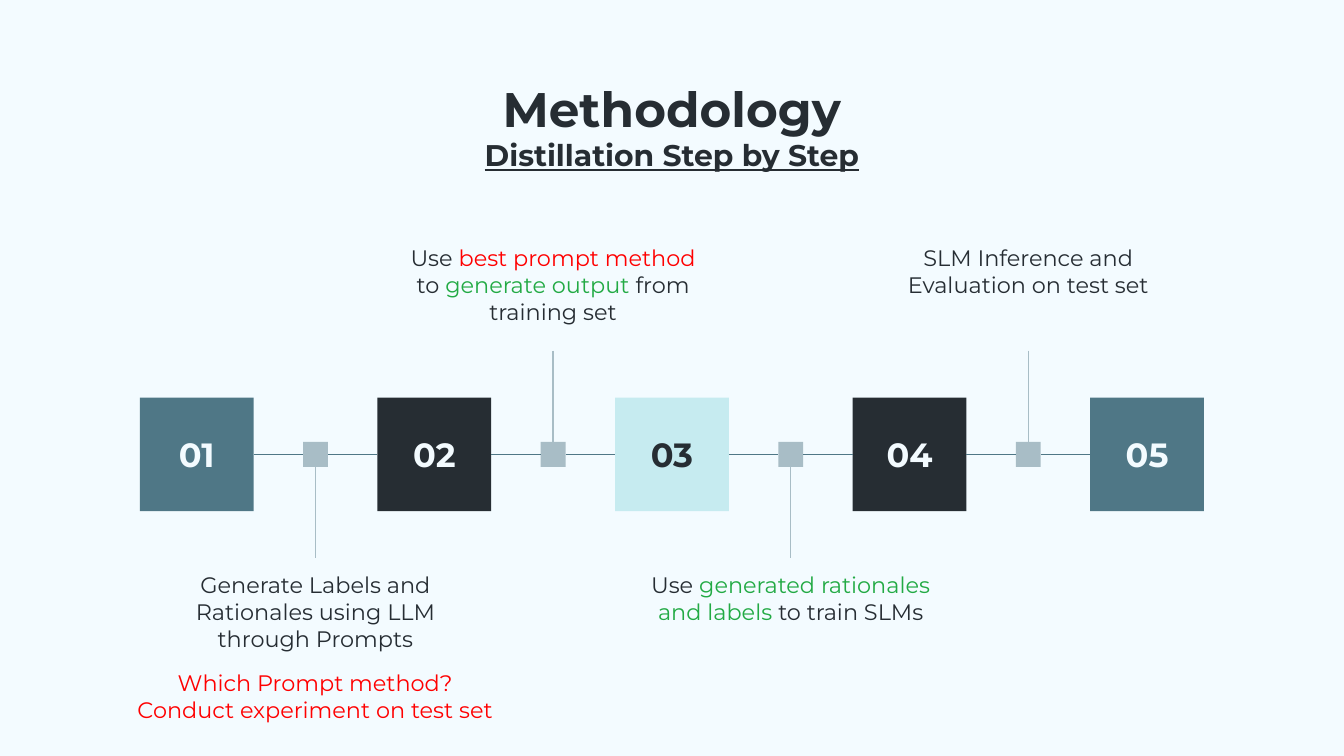
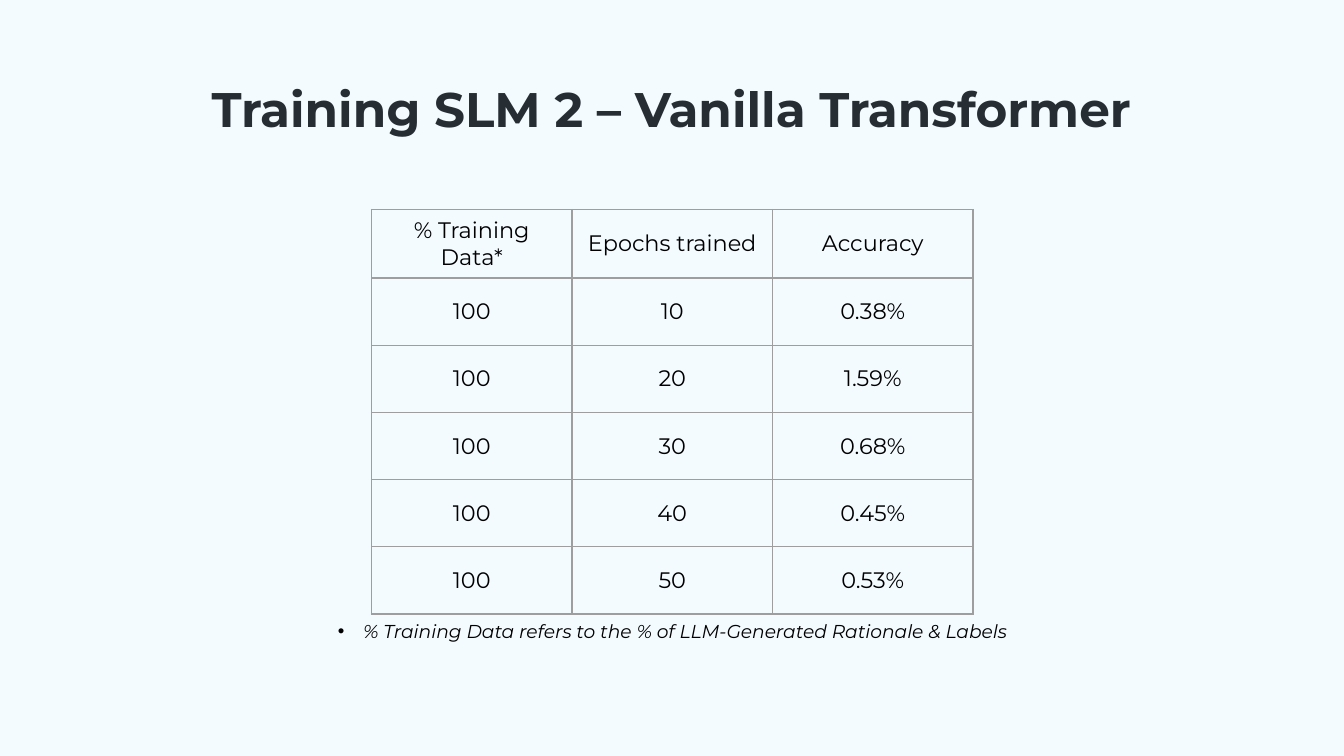
from lxml import etree
from pptx import Presentation
from pptx import util as u
from pptx.dml.color import RGBColor
from pptx.enum import shapes, text
from pptx.oxml.ns import qn

FONT = "Montserrat"
COLORS = {
    "bg": "F3FBFF", "dark": "262D33", "teal": "4F7786", "light": "C6EBF0",
    "grey": "A8BDC6", "red": "FF0000", "green": "22AA44", "black": "000000",
    "border": "9E9E9E",
}


def rgb(name):
    return RGBColor.from_string(COLORS[name])


def write(tf, *paragraphs, size=12, color="dark", bold=False, italic=False,
          anchor=text.MSO_ANCHOR.TOP, inset=0.25):
    """Fill a text frame; a paragraph is a string or a list of (text, colour) runs."""
    tf.word_wrap = True
    tf.auto_size = text.MSO_AUTO_SIZE.NONE
    tf.vertical_anchor = anchor
    tf.margin_left = tf.margin_right = u.Cm(0.25)
    tf.margin_top = tf.margin_bottom = u.Cm(inset)
    for i, runs in enumerate(paragraphs):
        p = tf.add_paragraph() if i else tf.paragraphs[0]
        p.alignment = text.PP_ALIGN.CENTER
        for words, c in [(runs, color)] if isinstance(runs, str) else runs:
            r = p.add_run()
            r.text = words
            f = r.font
            f.name, f.size, f.bold, f.italic = FONT, u.Pt(size), bold, italic
            f.color.rgb = rgb(c)


prs = Presentation()
prs.slide_width, prs.slide_height = u.Cm(25.4), u.Cm(14.29)
fill = prs.slide_master.background.fill
fill.solid()
fill.fore_color.rgb = rgb("bg")

slides = []
for title in ("Methodology", "Training SLM 2 – Vanilla Transformer"):
    s = prs.slides.add_slide(prs.slide_layouts[5])
    sp = s.shapes.title
    sp.left, sp.top, sp.width, sp.height = u.Cm(2), u.Cm(1.24), u.Cm(21.4), u.Cm(2.5)
    write(sp.text_frame, title, size=26, bold=True)
    slides.append(s)

# Slide 1: timeline of numbered steps with a note at each joint
s = slides[0]
p = s.shapes.title.text_frame.paragraphs[0]
p.add_line_break()
r = p.add_run()
r.text = "Distillation Step by Step"
r.font.name, r.font.size, r.font.bold, r.font.underline = FONT, u.Pt(16), True, True
r.font.color.rgb = rgb("dark")

CENTER, AXIS, PITCH = 12.7, 8.59, 4.49
BOX, JOINT = 2.15, 0.47
NOTE_W, NOTE_H, NOTE_ABOVE, NOTE_BELOW = 6, 2.26, 4.37, 10.55
steps = [("teal", "bg"), ("dark", "bg"), ("light", "dark"), ("dark", "bg"), ("teal", "bg")]
notes = [
    "Generate Labels and Rationales using LLM through Prompts",
    [("Use ", "dark"), ("best prompt method ", "red"), ("to ", "dark"),
     ("generate output ", "green"), ("from training set", "dark")],
    [("Use ", "dark"), ("generated rationales and labels", "green"),
     (" to train SLMs", "dark")],
    "SLM Inference and Evaluation on test set",
]

# Boxes and joints alternate along the axis, half a pitch apart
chain = []
for i in range(2 * len(steps) - 1):
    is_box = i % 2 == 0
    side = BOX if is_box else JOINT
    x = CENTER + (i - len(steps) + 1) * PITCH / 2
    sp = s.shapes.add_shape(shapes.MSO_SHAPE.RECTANGLE, u.Cm(x - side / 2),
                            u.Cm(AXIS - side / 2), u.Cm(side), u.Cm(side))
    sp.shadow.inherit = False
    sp.line.fill.background()
    sp.fill.solid()
    sp.fill.fore_color.rgb = rgb(steps[i // 2][0] if is_box else "grey")
    if is_box:
        write(sp.text_frame, f"{i // 2 + 1:02}", size=18, bold=True,
              color=steps[i // 2][1], anchor=text.MSO_ANCHOR.MIDDLE)
    chain.append(sp)

links = [(a, 3, b, 1, "teal") for a, b in zip(chain, chain[1:])]
for i, (joint, note) in enumerate(zip(chain[1::2], notes)):
    x = CENTER + (i - 1.5) * PITCH
    above = i % 2 == 1
    tb = s.shapes.add_textbox(u.Cm(x - NOTE_W / 2), u.Cm(NOTE_ABOVE if above else NOTE_BELOW),
                              u.Cm(NOTE_W), u.Cm(NOTE_H))
    write(tb.text_frame, note)
    links.append((tb, 2, joint, 0, "grey") if above else (joint, 2, tb, 0, "grey"))

for start, start_side, end, end_side, color in links:
    cn = s.shapes.add_connector(shapes.MSO_CONNECTOR.STRAIGHT, 0, 0, 0, 0)
    cn.begin_connect(start, start_side)
    cn.end_connect(end, end_side)
    cn.line.color.rgb = rgb(color)
    cn.line.width = u.Pt(0.75)
    etree.SubElement(cn._element.spPr, qn("a:effectLst"))

tb = s.shapes.add_textbox(u.Cm(1.73), u.Cm(12.52), u.Cm(8.46), u.Cm(1.28))
write(tb.text_frame, "Which Prompt method?", "Conduct experiment on test set",
      color="red", inset=0.13)

# Slide 2: results table with a footnote
s = slides[1]
rows = [("% Training Data*", "Epochs trained", "Accuracy"),
        ("100", "10", "0.38%"), ("100", "20", "1.59%"), ("100", "30", "0.68%"),
        ("100", "40", "0.45%"), ("100", "50", "0.53%")]
COL_W, ROW_H = 3.79, 1.27
table = s.shapes.add_table(len(rows), 3, u.Cm(7.02), u.Cm(3.96),
                           u.Cm(3 * COL_W), u.Cm(len(rows) * ROW_H)).table
table.first_row = table.horz_banding = False
for i, row in enumerate(rows):
    for j, value in enumerate(row):
        cell = table.cell(i, j)
        write(cell.text_frame, value, color="black")
        cell.vertical_anchor = text.MSO_ANCHOR.MIDDLE
        cell.margin_left = cell.margin_right = u.Cm(0.25)
        cell.margin_top = cell.margin_bottom = u.Cm(0.13)
        tcPr = cell._tc.get_or_add_tcPr()
        for edge in ("lnL", "lnR", "lnT", "lnB"):
            ln = etree.SubElement(tcPr, qn(f"a:{edge}"), w=str(u.Pt(0.75)))
            line_fill = etree.SubElement(ln, qn("a:solidFill"))
            etree.SubElement(line_fill, qn("a:srgbClr"), val=COLORS["border"])
        cell.fill.background()

tb = s.shapes.add_textbox(u.Cm(5.54), u.Cm(11.58), u.Cm(14.33), u.Cm(0.69))
write(tb.text_frame, "% Training Data refers to the % of LLM-Generated Rationale & Labels",
      size=10, color="black", italic=True, inset=0.13)
pPr = tb.text_frame.paragraphs[0]._p.get_or_add_pPr()
pPr.set("marL", str(u.Cm(0.48)))
pPr.set("indent", str(u.Cm(-0.48)))
bullet_color = etree.SubElement(pPr, qn("a:buClr"))
etree.SubElement(bullet_color, qn("a:srgbClr"), val=COLORS["black"])
etree.SubElement(pPr, qn("a:buFont"), typeface="Arial")
etree.SubElement(pPr, qn("a:buChar"), char="•")

prs.save("out.pptx")
